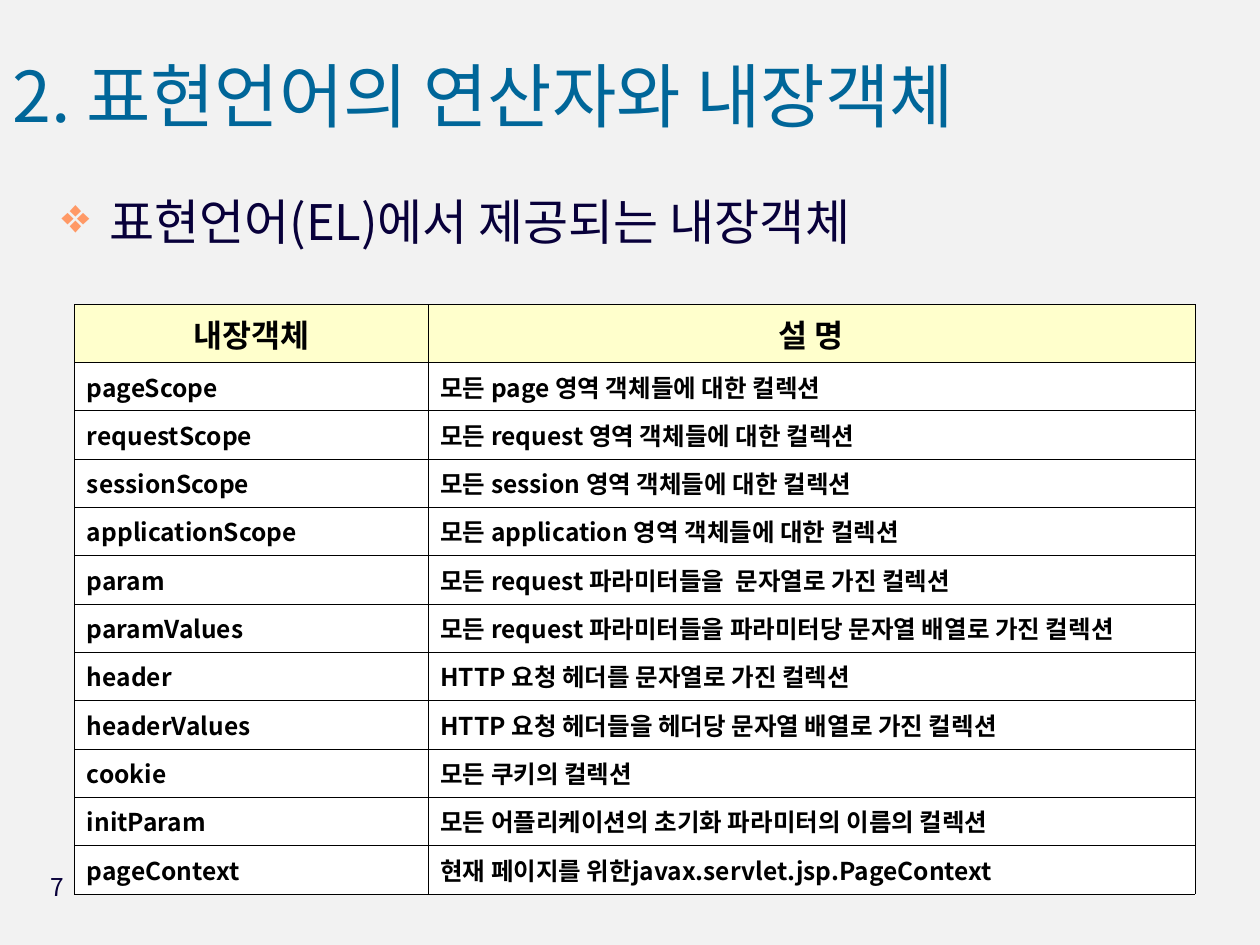
"""Build a slide that lists the implicit objects of the expression language."""
from dataclasses import dataclass
from typing import Optional

from lxml.etree import SubElement
from pptx import Presentation
from pptx.dml.color import RGBColor
from pptx.enum.text import MSO_ANCHOR as Anchor, PP_ALIGN as Align
from pptx.oxml.ns import qn
from pptx.slide import Slide
from pptx.table import _Cell as Cell
from pptx.text.text import TextFrame
from pptx.util import Inches, Pt

FONT = "Noto Sans CJK KR"
WIDTH, HEIGHT = Inches(10), Inches(7.5)
COLORS = {
    "background": "F2F2F2", "title": "006699", "text": "08003A", "bullet": "FF9966",
    "black": "000000", "header": "FFFFCC", "body": "FFFFFF",
}
HEADER_HEIGHT = 6.13
COLUMN_WIDTHS = (28.05, 60.9)


@dataclass(frozen=True)
class Region:
    """Area in percent of the slide's width and height."""
    left: float
    top: float
    width: float
    height: float

    def lengths(self) -> tuple[int, int, int, int]:
        """Return the left, top, width and height in slide units."""
        return (across(self.left), down(self.top), across(self.width), down(self.height))


@dataclass(frozen=True)
class ImplicitObject:
    """One row of the table."""
    name: str
    description: str


TITLE = Region(0, 3.73, 85.4, 14.67)
HEADING = Region(3.9, 19.6, 92.1, 8.4)
PAGE_NUMBER = Region(1.4, 91.6, 4.7, 6.93)
TABLE = Region(5.9, 32.2, sum(COLUMN_WIDTHS), 62.4)

HEADER = ImplicitObject("내장객체", "설 명")
OBJECTS = [
    ImplicitObject("pageScope", "모든 page 영역 객체들에 대한 컬렉션"),
    ImplicitObject("requestScope", "모든 request 영역 객체들에 대한 컬렉션"),
    ImplicitObject("sessionScope", "모든 session 영역 객체들에 대한 컬렉션"),
    ImplicitObject("applicationScope", "모든 application 영역 객체들에 대한 컬렉션"),
    ImplicitObject("param", "모든 request 파라미터들을  문자열로 가진 컬렉션"),
    ImplicitObject("paramValues", "모든 request 파라미터들을 파라미터당 문자열 배열로 가진 컬렉션"),
    ImplicitObject("header", "HTTP 요청 헤더를 문자열로 가진 컬렉션"),
    ImplicitObject("headerValues", "HTTP 요청 헤더들을 헤더당 문자열 배열로 가진 컬렉션"),
    ImplicitObject("cookie", "모든 쿠키의 컬렉션"),
    ImplicitObject("initParam", "모든 어플리케이션의 초기화 파라미터의 이름의 컬렉션"),
    ImplicitObject("pageContext", "현재 페이지를 위한javax.servlet.jsp.PageContext"),
]


def across(percent: float) -> int:
    """Convert a percentage of the slide's width."""
    return round(WIDTH * percent / 100)


def down(percent: float) -> int:
    """Convert a percentage of the slide's height."""
    return round(HEIGHT * percent / 100)


def rgb(name: str) -> RGBColor:
    """Look up a named colour."""
    return RGBColor.from_string(COLORS[name])


def write(frame: TextFrame, text: str, *, size: float, color: str, bold: bool = False,
          align: Align = Align.LEFT, spacing: Optional[float] = None,
          bullet: Optional[str] = None) -> None:
    """Put one formatted paragraph into a text frame."""
    paragraph = frame.paragraphs[0]
    paragraph.alignment = align
    if spacing:
        paragraph.line_spacing = spacing
    if bullet:
        properties = paragraph._p.get_or_add_pPr()
        indent = Inches(0.38)
        properties.set("marL", str(indent))
        properties.set("indent", str(-indent))
        bullet_color = SubElement(properties, qn("a:buClr"))
        SubElement(bullet_color, qn("a:srgbClr"), val=COLORS["bullet"])
        SubElement(properties, qn("a:buChar"), char=bullet)
    run = paragraph.add_run()
    run.text = text
    run.font.size = Pt(size)
    run.font.bold = bold
    run.font.name = FONT
    run.font.color.rgb = rgb(color)
    SubElement(run._r.get_or_add_rPr(), qn("a:ea"), typeface=FONT)


def add_text(slide: Slide, region: Region, text: str, *, anchor: Anchor = Anchor.TOP,
             **text_format) -> None:
    """Add a wrapped text box."""
    frame = slide.shapes.add_textbox(*region.lengths()).text_frame
    frame.word_wrap = True
    frame.vertical_anchor = anchor
    write(frame, text, **text_format)


def fill_cell(cell: Cell, text: str, *, fill: str, **text_format) -> None:
    """Write a cell and give it thin borders and a fill."""
    cell.vertical_anchor = Anchor.MIDDLE
    write(cell.text_frame, text, color="black", bold=True, **text_format)
    properties = cell._tc.get_or_add_tcPr()
    for side in ("lnL", "lnR", "lnT", "lnB"):
        border = SubElement(properties, qn(f"a:{side}"), w=str(Pt(0.06)))
        solid = SubElement(border, qn("a:solidFill"))
        SubElement(solid, qn("a:srgbClr"), val=COLORS["black"])
    cell.fill.solid()
    cell.fill.fore_color.rgb = rgb(fill)


def add_object_table(slide: Slide) -> None:
    """Add the table of implicit objects."""
    rows = [HEADER, *OBJECTS]
    table = slide.shapes.add_table(len(rows), len(COLUMN_WIDTHS), *TABLE.lengths()).table
    for column, width in zip(table.columns, COLUMN_WIDTHS):
        column.width = across(width)
    body_height = (TABLE.height - HEADER_HEIGHT) / len(OBJECTS)
    for index, entry in enumerate(rows):
        is_header = entry is HEADER
        table.rows[index].height = down(HEADER_HEIGHT if is_header else body_height)
        for column, text in enumerate((entry.name, entry.description)):
            fill_cell(table.cell(index, column), text,
                      fill="header" if is_header else "body",
                      size=18 if is_header else 14,
                      align=Align.CENTER if is_header else Align.LEFT)


def main() -> None:
    """Create and save the presentation."""
    presentation = Presentation()
    presentation.slide_width, presentation.slide_height = WIDTH, HEIGHT
    slide = presentation.slides.add_slide(presentation.slide_layouts[6])
    slide.background.fill.solid()
    slide.background.fill.fore_color.rgb = rgb("background")
    add_text(slide, TITLE, "2. 표현언어의 연산자와 내장객체", size=40, color="title",
             anchor=Anchor.MIDDLE, spacing=0.7)
    add_text(slide, HEADING, "표현언어(EL)에서 제공되는 내장객체", size=28, color="text",
             bullet="❖")
    add_object_table(slide)
    add_text(slide, PAGE_NUMBER, "7", size=14, color="text", align=Align.RIGHT)
    presentation.save("out.pptx")


if __name__ == "__main__":
    main()
